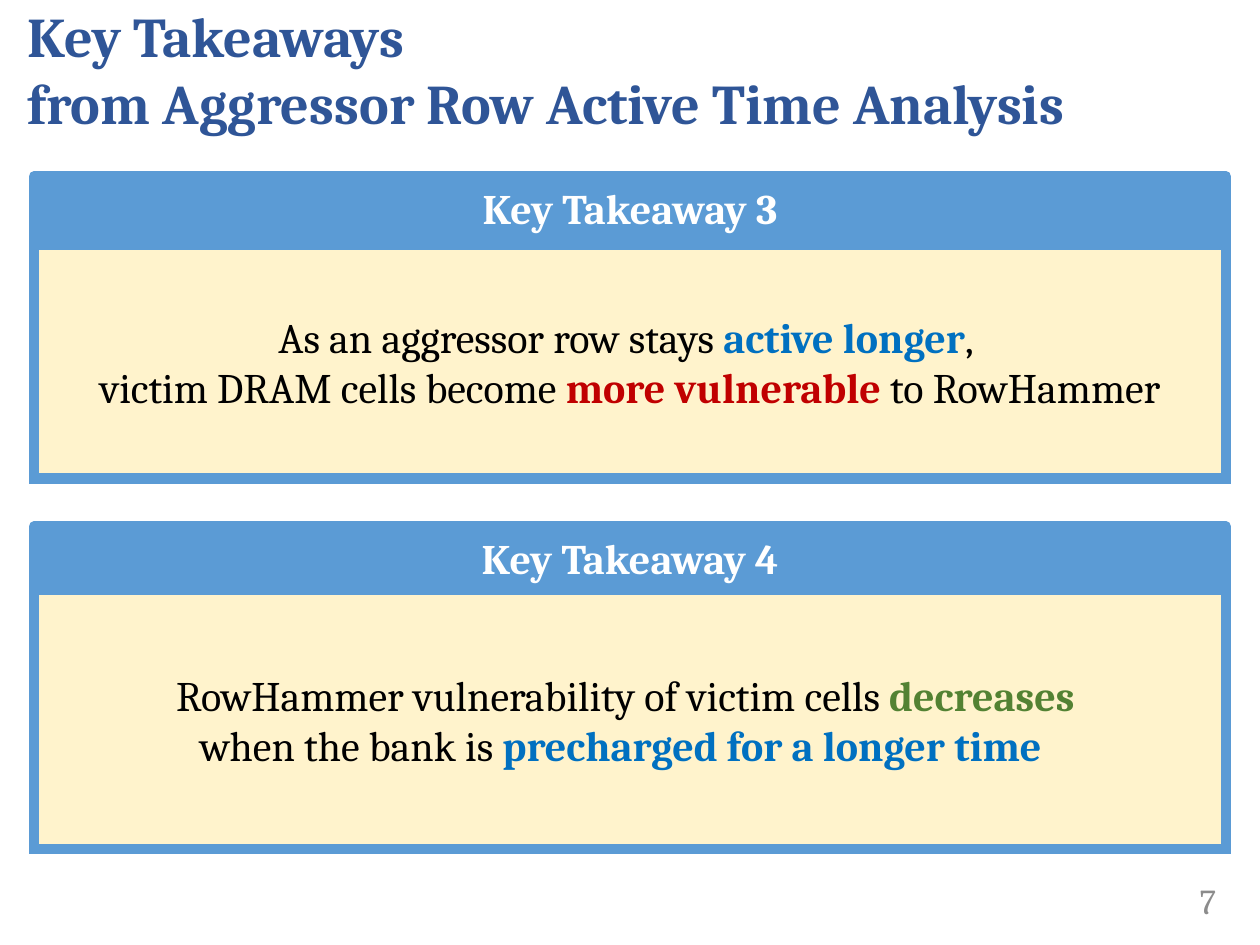
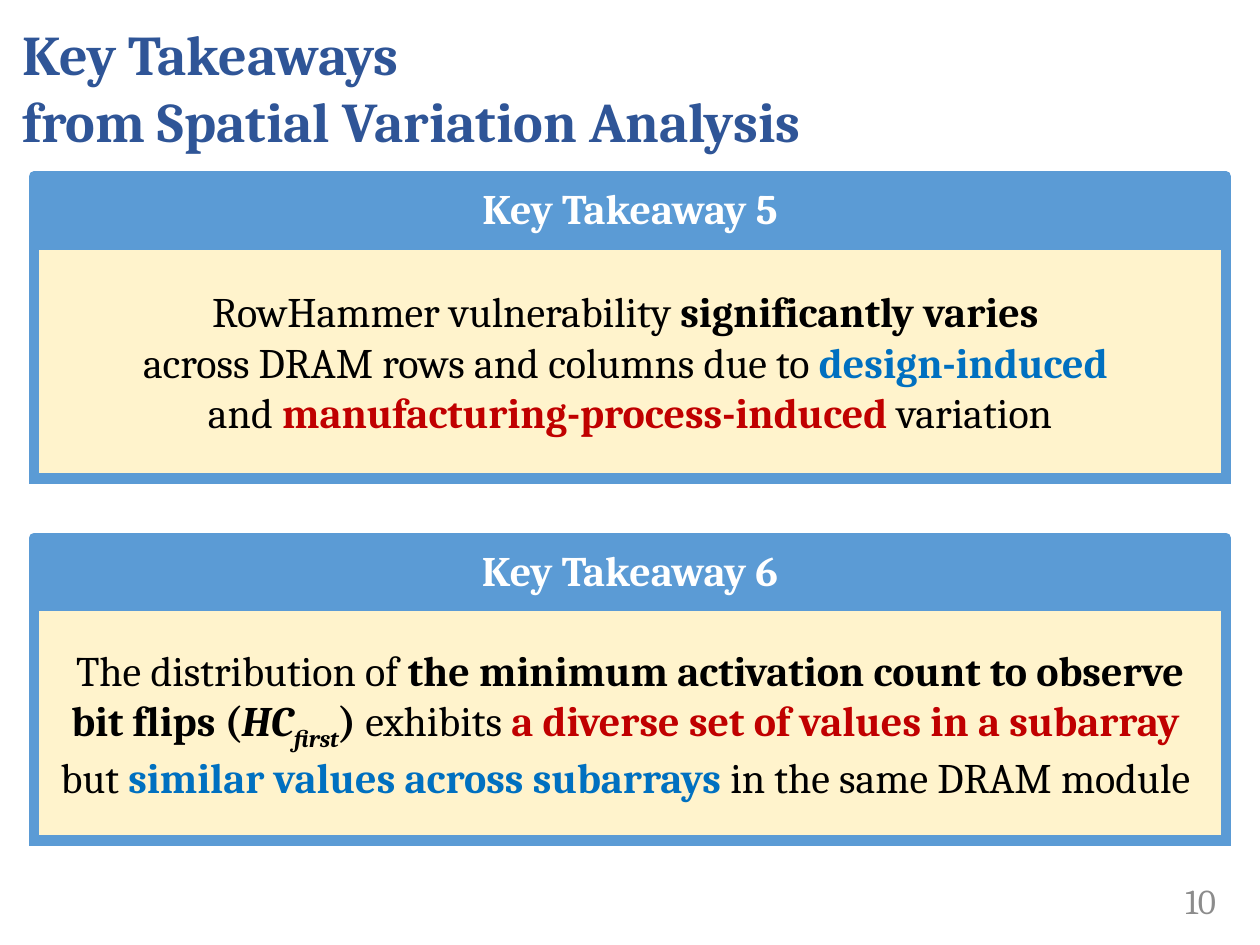
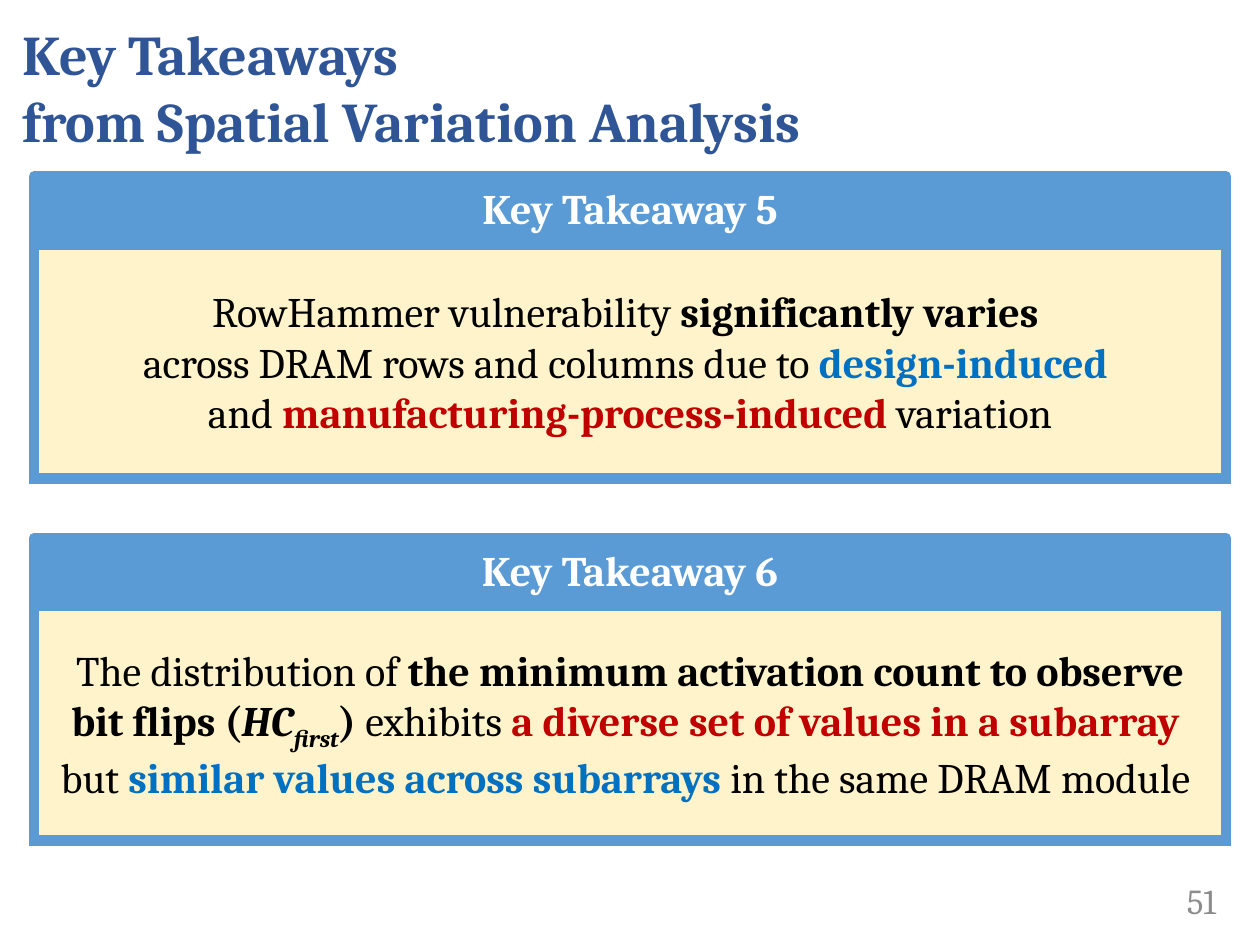
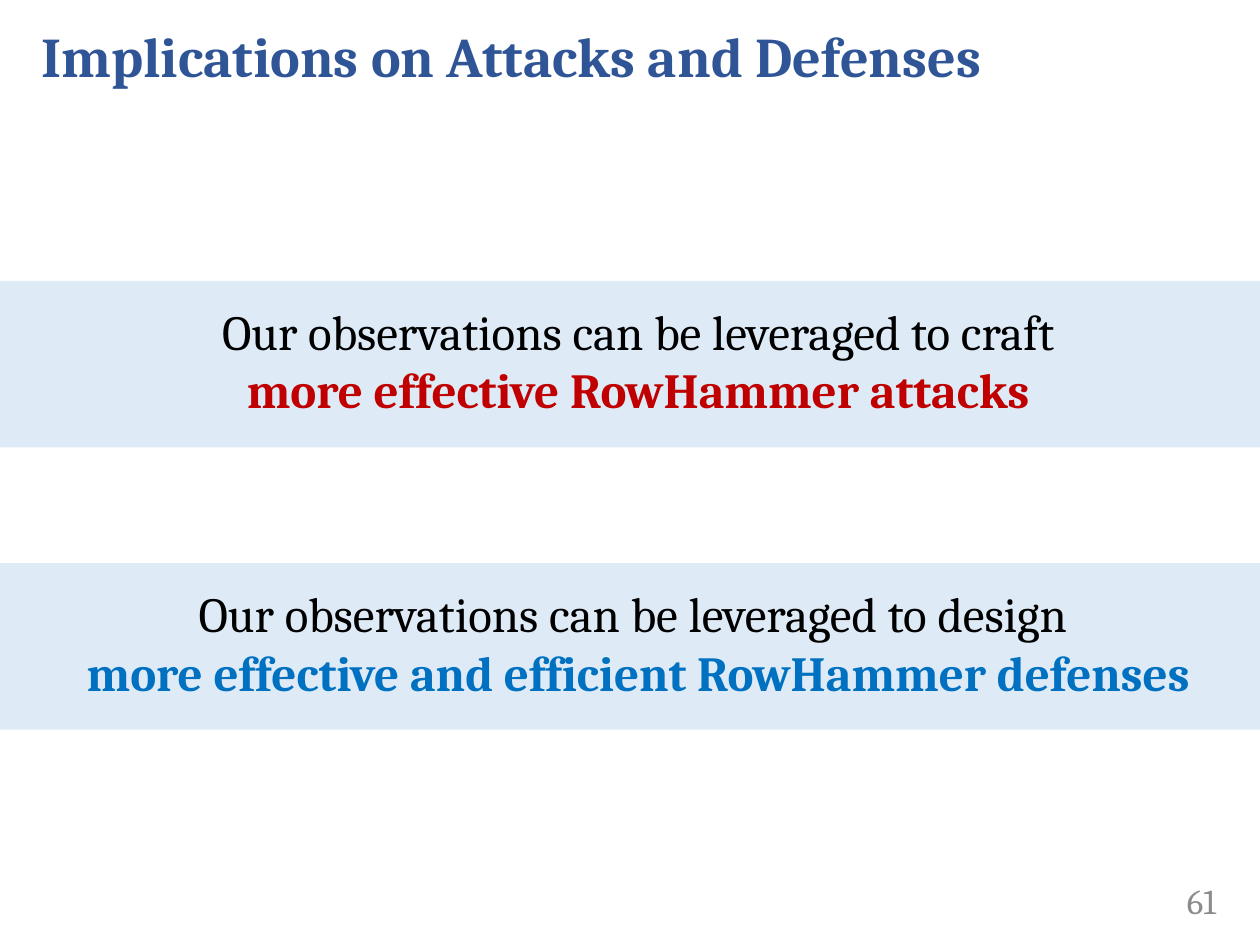
import collections

import lxml.etree
import pptx
import pptx.dml.color
import pptx.enum.shapes
import pptx.enum.text
import pptx.oxml.ns
import pptx.util

Inches = pptx.util.Inches
RGBColor = pptx.dml.color.RGBColor
Shape = pptx.enum.shapes.MSO_SHAPE
Anchor = pptx.enum.text.MSO_ANCHOR
Align = pptx.enum.text.PP_ALIGN

TITLE_BLUE = RGBColor(0x2F, 0x55, 0x97)
FRAME_BLUE = RGBColor(0x5B, 0x9B, 0xD5)
BAND_BLUE = RGBColor(0xDE, 0xEB, 0xF7)
CREAM = RGBColor(0xFF, 0xF3, 0xCC)
WHITE = RGBColor(0xFF, 0xFF, 0xFF)
BLACK = RGBColor(0, 0, 0)
GRAY = RGBColor(0x8C, 0x8C, 0x8C)
BLUE = RGBColor(0x00, 0x70, 0xC0)
RED = RGBColor(0xC0, 0x00, 0x00)
GREEN = RGBColor(0x53, 0x82, 0x33)

Style = collections.namedtuple("Style", "color bold italic baseline", defaults=(False, False, 0))
PLAIN = Style(BLACK)
STRONG = Style(BLACK, True)
SYMBOL = Style(BLACK, True, True)
SUBSCRIPT = Style(BLACK, True, True, -25000)
KEY_BLUE = Style(BLUE, True)
KEY_RED = Style(RED, True)
KEY_GREEN = Style(GREEN, True)
HEADING = Style(WHITE, True)
TITLE = Style(TITLE_BLUE, True)
NUMBER = Style(GRAY)

PANEL_LEFT, PANEL_WIDTH, HEADING_HEIGHT = 0.27, 9.46, 0.5


class Deck:
    """Holds the shared style and the slide being built."""

    font = "Cambria"

    def __init__(self):
        self.presentation = pptx.Presentation()
        self.presentation.slide_width = Inches(10)
        self.presentation.slide_height = Inches(7.5)
        self.slide = None

    def add_slide(self, number, title, title_box):
        self.slide = self.presentation.slides.add_slide(self.presentation.slide_layouts[6])
        self.text_box((8.67, 6.95, 1.08, 0.4), [[(number, NUMBER)]], 20, Align.RIGHT)
        title_shape = self.text_box(title_box, [[(title, TITLE)]], 32, Align.LEFT)
        title_shape.text_frame.paragraphs[0].space_after = pptx.util.Pt(6)

    def fill_text(self, shape, lines, size, align, anchor):
        frame = shape.text_frame
        frame.word_wrap = True
        frame.vertical_anchor = anchor
        for index, line in enumerate(lines):
            paragraph = frame.add_paragraph() if index else frame.paragraphs[0]
            paragraph.alignment = align
            for text, style in line:
                for part_index, part in enumerate(text.split("\n")):
                    if part_index:
                        paragraph.add_line_break()
                    if part:
                        self.add_run(paragraph, part, style, size)

    def add_run(self, paragraph, text, style, size):
        run = paragraph.add_run()
        run.text = text
        run.font.name = self.font
        run.font.size = pptx.util.Pt(size)
        run.font.bold = style.bold
        run.font.italic = style.italic
        run.font.color.rgb = style.color
        if style.baseline:
            run.font._element.set("baseline", str(style.baseline))

    def text_box(self, box, lines, size, align):
        shape = self.slide.shapes.add_textbox(*map(Inches, box))
        self.fill_text(shape, lines, size, align, Anchor.MIDDLE)
        return shape

    def block(self, group, kind, box, fill, line=None):
        shape = group.shapes.add_shape(kind, *map(Inches, box))
        shape.shadow.inherit = False
        shape.fill.solid()
        shape.fill.fore_color.rgb = fill
        if line is None:
            shape.line.fill.background()
        else:
            shape.line.color.rgb = line
            shape.line.width = pptx.util.Pt(6)
        return shape

    def takeaway(self, number, top, body_top, body_height, lines):
        group = self.slide.shapes.add_group_shape()
        body = self.block(group, Shape.ROUNDED_RECTANGLE,
                          (PANEL_LEFT, body_top, PANEL_WIDTH, body_height), CREAM, FRAME_BLUE)
        body.adjustments[0] = 0
        outline = body.element.spPr.find(pptx.oxml.ns.qn("a:ln"))
        lxml.etree.SubElement(outline, pptx.oxml.ns.qn("a:miter"), lim="800000")
        self.fill_text(body, lines, 24, Align.CENTER, Anchor.MIDDLE)
        heading = self.block(group, Shape.RECTANGLE,
                             (PANEL_LEFT, top, PANEL_WIDTH, HEADING_HEIGHT), FRAME_BLUE, FRAME_BLUE)
        self.fill_text(heading, [[(f"Key Takeaway {number}", HEADING)]], 24, Align.CENTER, Anchor.TOP)

    def band(self, top, lines):
        group = self.slide.shapes.add_group_shape()
        self.block(group, Shape.RECTANGLE, (0, top, 10, 1.32), BAND_BLUE)
        message = self.block(group, Shape.RECTANGLE, (0.13, top + 0.11, 9.87, 1.04), BAND_BLUE)
        self.fill_text(message, lines, 28, Align.CENTER, Anchor.TOP)


def active_time_slide(deck):
    deck.add_slide("7", "Key Takeaways\nfrom Aggressor Row Active Time Analysis", (0.12, 0, 9.88, 1.09))
    deck.takeaway(3, 1.4, 1.94, 1.86, [
        [("As an aggressor row stays ", PLAIN), ("active longer", KEY_BLUE), (", ", PLAIN)],
        [("victim DRAM cells become ", PLAIN), ("more vulnerable ", KEY_RED), ("to RowHammer", PLAIN)],
    ])
    deck.takeaway(4, 4.18, 4.68, 2.06, [
        [("RowHammer vulnerability of victim cells ", PLAIN), ("decreases ", KEY_GREEN)],
        [("when the bank is ", PLAIN), ("precharged for a longer time  ", KEY_BLUE)],
    ])


def spatial_variation_slide(deck, number):
    deck.add_slide(number, "Key Takeaways \nfrom Spatial Variation Analysis", (0.08, 0.06, 9.92, 1.26))
    deck.takeaway(5, 1.4, 1.94, 1.86, [
        [("RowHammer vulnerability ", PLAIN), ("significantly varies ", STRONG)],
        [("across DRAM rows and columns due to ", PLAIN), ("design-induced ", KEY_BLUE)],
        [("and ", PLAIN), ("manufacturing-process-induced ", KEY_RED), ("variation", PLAIN)],
    ])
    deck.takeaway(6, 4.27, 4.81, 1.86, [
        [("The distribution of ", PLAIN),
         ("the minimum activation count to observe bit flips (", STRONG),
         ("HC", SYMBOL), ("first", SUBSCRIPT), (") ", STRONG),
         ("exhibits ", PLAIN), ("a diverse set of values in a subarray ", KEY_RED)],
        [("but ", PLAIN), ("similar values across subarrays ", KEY_BLUE),
         ("in the same DRAM module ", PLAIN)],
    ])


def implications_slide(deck):
    deck.add_slide("61", "Implications on Attacks and Defenses", (0.23, 0.09, 9.31, 0.7))
    deck.band(2.23, [
        [("Our observations can be leveraged to craft", PLAIN)],
        [("more effective RowHammer attacks", KEY_RED)],
    ])
    deck.band(4.47, [
        [("Our observations can be leveraged to design \n", PLAIN),
         ("more effective and efficient RowHammer defenses", KEY_BLUE)],
    ])


def main():
    deck = Deck()
    active_time_slide(deck)
    for number in ("10", "51"):
        spatial_variation_slide(deck, number)
    implications_slide(deck)
    deck.presentation.save("out.pptx")


if __name__ == "__main__":
    main()
